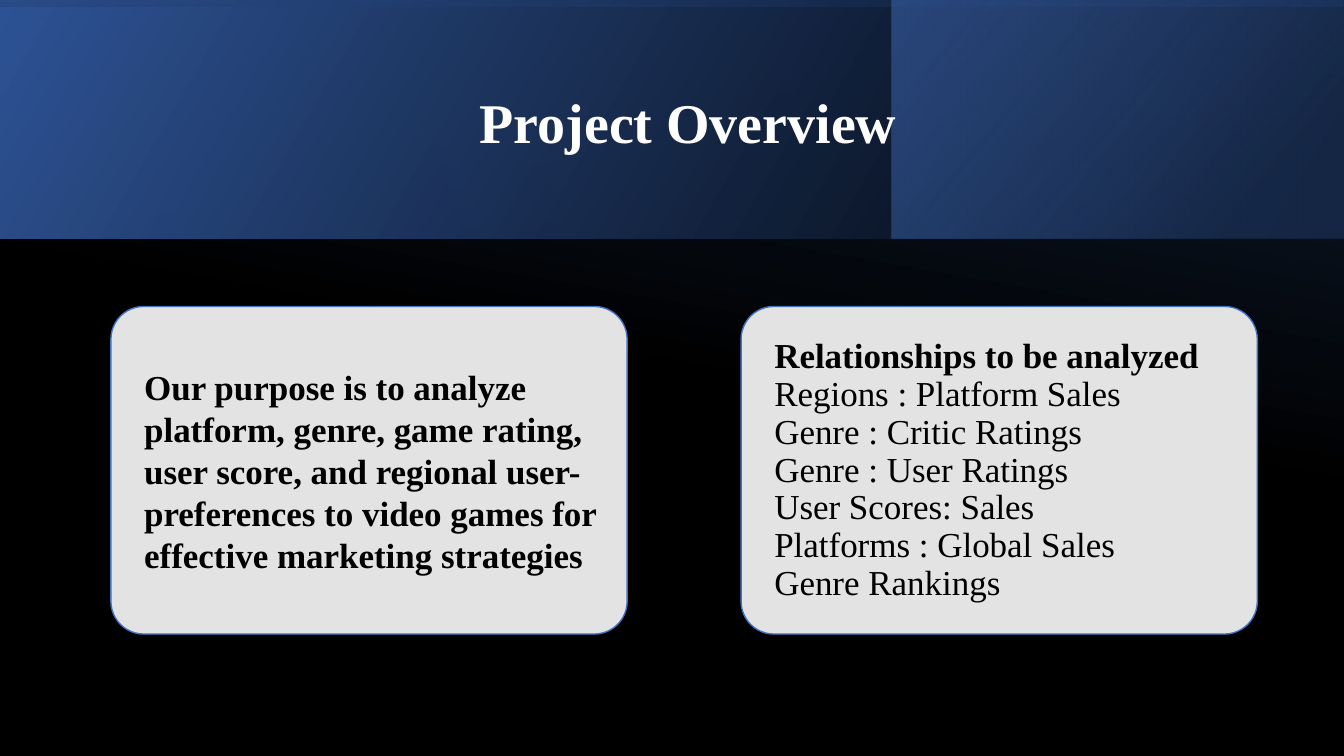
"""Build the Project Overview slide: a gradient title band above two text cards."""
import pptx
import pptx.util
import pptx.dml.color
import pptx.enum.shapes
import pptx.enum.text
import pptx.oxml
import pptx.oxml.ns

qn = pptx.oxml.ns.qn
Inches = pptx.util.Inches
MIDDLE = pptx.enum.text.MSO_ANCHOR.MIDDLE
SHAPE = pptx.enum.shapes.MSO_SHAPE


def rgb(color):
    return pptx.dml.color.RGBColor.from_string(color)


def set_gradient(parent, angle, stops):
    gs = "".join(
        f'<a:gs pos="{pos * 1000}"><a:srgbClr val="{color}">'
        f'<a:alpha val="{alpha * 1000}"/></a:srgbClr></a:gs>'
        for pos, color, alpha in stops)
    grad = pptx.oxml.parse_xml(
        f'<a:gradFill {pptx.oxml.ns.nsdecls("a")} rotWithShape="1"><a:gsLst>{gs}</a:gsLst>'
        f'<a:lin ang="{angle * 60000}" scaled="0"/></a:gradFill>')
    parent.replace(parent.find(qn("a:solidFill")), grad)


W, H = 13.33, 7.5
BAND = 2.37
FONT = "Times New Roman"

prs = pptx.Presentation()
prs.slide_width, prs.slide_height = Inches(W), Inches(H)
s = prs.slides.add_slide(prs.slide_layouts[5])

s.background.fill.solid()
set_gradient(s.element.find(".//" + qn("p:bgPr")), 280,
             [(0, "000000", 100), (50, "000000", 100), (100, "101D33", 100)])

bands = [
    ((0, 0, W, BAND), 0, 330, [(0, "000000", 95), (100, "2F5496", 100)]),
    ((8.84, 0, W - 8.84, BAND), 0, 320,
     [(0, "1F3864", 67), (19, "1F3864", 67), (100, "4472C4", 47)]),
    (((W - BAND) / 2, (BAND - W) / 2, BAND, W), 270, 350,
     [(0, "2F5496", 15), (23, "2F5496", 15), (99, "000000", 44), (100, "000000", 44)]),
]
for box, rotation, angle, stops in bands:
    sp = s.shapes.add_shape(SHAPE.RECTANGLE, *map(Inches, box))
    sp.shadow.inherit = False
    sp.rotation = rotation
    sp.element.spPr.find(qn("a:xfrm")).set("flipH", "1")
    sp.fill.solid()
    set_gradient(sp.element.spPr, angle, stops)
    sp.line.fill.background()

title = s.shapes.title
s.shapes.element.append(title.element)
title.left, title.top, title.width, title.height = map(Inches, (1.51, 0.38, 10.63, 1.72))
tf = title.text_frame
tf.vertical_anchor = MIDDLE
tf.word_wrap = True
p = tf.paragraphs[0]
p.alignment = pptx.enum.text.PP_ALIGN.CENTER
p.line_spacing = 0.9
r = p.add_run()
r.text = "Project Overview"
r.font.name, r.font.size, r.font.bold = FONT, pptx.util.Pt(40), True
r.font.color.rgb = rgb("FFFFFF")

cards = [
    (1.1, 5.12, 1.0, [
        "Our purpose is to analyze platform, genre, game rating, user score, and regional "
        "user-preferences to video games for effective marketing strategies"]),
    (7.35, 4.93, 0.9, [
        "Relationships to be analyzed",
        "Regions : Platform Sales",
        "Genre : Critic Ratings",
        "Genre : User Ratings",
        "User Scores: Sales",
        "Platforms : Global Sales",
        "Genre Rankings"]),
]
for left, text_width, spacing, lines in cards:
    sp = s.shapes.add_shape(SHAPE.ROUNDED_RECTANGLE, *map(Inches, (left, 3.04, 5.12, 3.25)))
    sp.shadow.inherit = False
    sp.adjustments[0] = 0.1
    sp.fill.solid()
    set_gradient_color = sp.fill.fore_color
    set_gradient_color.rgb = rgb("FFFFFF")
    white = sp.element.spPr.find(qn("a:solidFill")).find(qn("a:srgbClr"))
    white.append(pptx.oxml.parse_xml(f'<a:alpha {pptx.oxml.ns.nsdecls("a")} val="89000"/>'))
    sp.line.color.rgb = rgb("4372C3")
    sp.line.width = pptx.util.Pt(1)

    box = s.shapes.add_textbox(*map(Inches, (left + 0.1, 3.14, text_width, 3.06)))
    tf = box.text_frame
    tf.word_wrap = True
    tf.vertical_anchor = MIDDLE
    tf.margin_left = tf.margin_right = tf.margin_top = tf.margin_bottom = Inches(0.23)
    for i, line in enumerate(lines):
        p = tf.add_paragraph() if i else tf.paragraphs[0]
        p.line_spacing = spacing
        r = p.add_run()
        r.text = line
        r.font.name, r.font.size, r.font.bold = FONT, pptx.util.Pt(25), i == 0
        r.font.color.rgb = rgb("000000")

prs.save("out.pptx")
